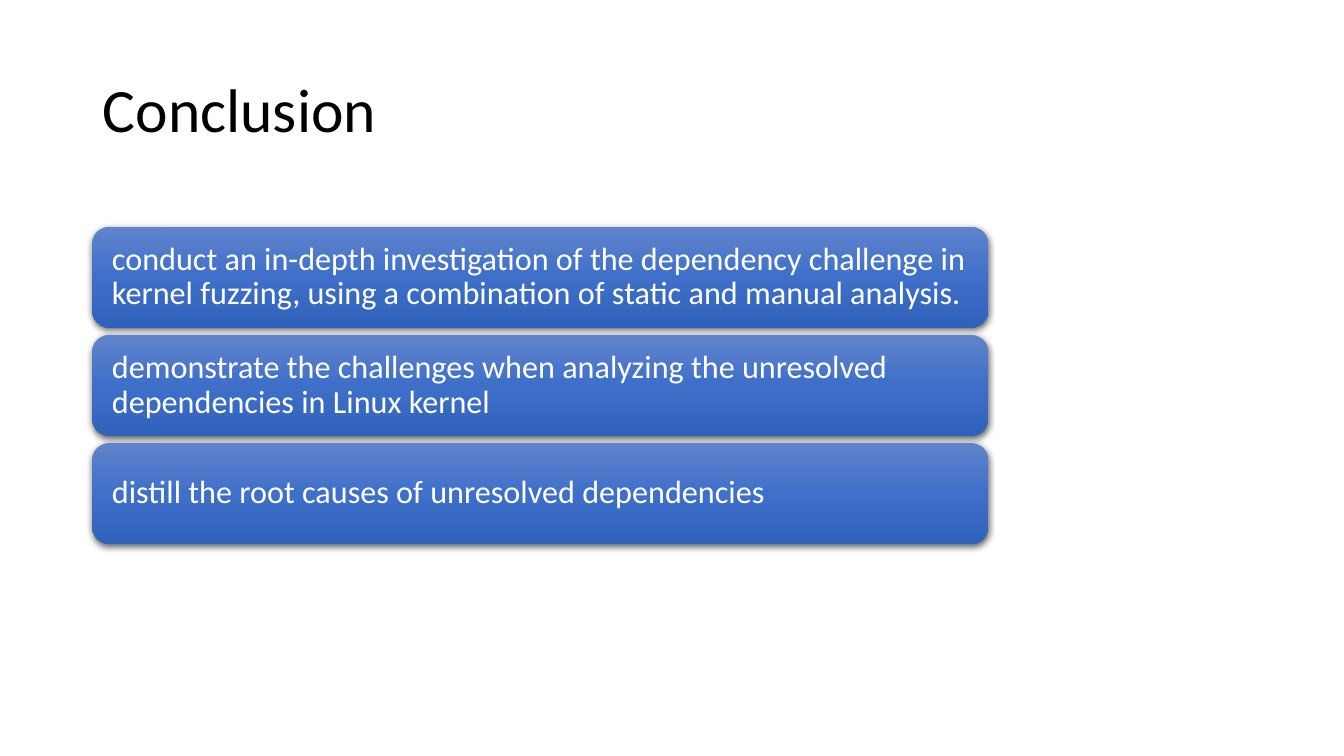
from pptx import Presentation
from pptx.dml.color import RGBColor
from pptx.enum.shapes import MSO_SHAPE
from pptx.enum.text import MSO_ANCHOR, MSO_AUTO_SIZE, PP_ALIGN
from pptx.oxml import parse_xml
from pptx.oxml.ns import nsdecls
from pptx.util import Pt

ROUNDED = MSO_SHAPE.ROUNDED_RECTANGLE
MIDDLE = MSO_ANCHOR.MIDDLE
LEFT = PP_ALIGN.LEFT
NO_AUTOFIT = MSO_AUTO_SIZE.NONE
TITLE_ONLY = 5
FONT = "Calibri"
GRADIENT = [(0, "6183CB"), (50, "3E70CA"), (100, "3062BB")]
CONCLUSIONS = [
    "conduct an in-depth investigation of the dependency challenge in kernel fuzzing, "
    "using a combination of static and manual analysis.",
    "demonstrate the challenges when analyzing the unresolved dependencies in Linux kernel",
    "distill the root causes of unresolved dependencies",
]


def px(length):
    """Turn pixels, 96 to the inch, into EMU."""
    return length * 9525


def color(value):
    """Turn a hex string into a colour."""
    return RGBColor.from_string(value)


def write_text(shape, text, size, text_color, inset_x, inset_y):
    """Write one left-aligned, vertically centred paragraph into a shape."""
    frame = shape.text_frame
    frame.word_wrap = True
    frame.auto_size = NO_AUTOFIT
    frame.vertical_anchor = MIDDLE
    frame.margin_left = frame.margin_right = px(inset_x)
    frame.margin_top = frame.margin_bottom = px(inset_y)
    paragraph = frame.paragraphs[0]
    paragraph.alignment = LEFT
    paragraph.line_spacing = 0.9
    paragraph.space_before = Pt(0)
    run = paragraph.add_run()
    run.text = text
    run.font.name = FONT
    run.font.size = Pt(size)
    run.font.color.rgb = color(text_color)


def style_card(shape):
    """Give a card its vertical gradient and soft lower shadow."""
    shape.line.fill.background()
    shape.shadow.inherit = False
    stops = "".join(
        f'<a:gs pos="{position * 1000}"><a:srgbClr val="{color(value)}"/></a:gs>'
        for position, value in GRADIENT
    )
    properties = shape._element.spPr
    properties.insert(2, parse_xml(
        f'<a:gradFill {nsdecls("a")} rotWithShape="1"><a:gsLst>{stops}</a:gsLst>'
        '<a:lin ang="5400000" scaled="0"/></a:gradFill>'
    ))
    properties[-1].append(parse_xml(
        f'<a:outerShdw {nsdecls("a")} blurRad="{Pt(4.5)}" dist="{Pt(1.5)}" '
        'dir="5400000" algn="ctr" rotWithShape="0"><a:srgbClr val="000000">'
        '<a:alpha val="63000"/></a:srgbClr></a:outerShdw>'
    ))


def add_title(slide, left, top, width, height):
    """Place the slide title in its box."""
    title = slide.shapes.title
    title.left, title.top = px(left), px(top)
    title.width, title.height = px(width), px(height)
    write_text(title, "Conclusion", 44, "000000", 10, 5)


def add_conclusions(slide, left, top, width, card_height, gap):
    """Stack one card for each conclusion."""
    for index, text in enumerate(CONCLUSIONS):
        card_top = top + index * (card_height + gap)
        card = slide.shapes.add_shape(
            ROUNDED, px(left), px(card_top), px(width), px(card_height)
        )
        style_card(card)
        write_text(card, text, 23, "FFFFFF", 14, 10)


def main():
    """Build and save the conclusion slide."""
    presentation = Presentation()
    presentation.slide_width = px(1280)
    presentation.slide_height = px(720)
    slide = presentation.slides.add_slide(presentation.slide_layouts[TITLE_ONLY])
    add_title(slide, 88, 38, 1104, 139)
    add_conclusions(slide, 88, 216, 853, 96, 7)
    presentation.save("out.pptx")


if __name__ == "__main__":
    main()
